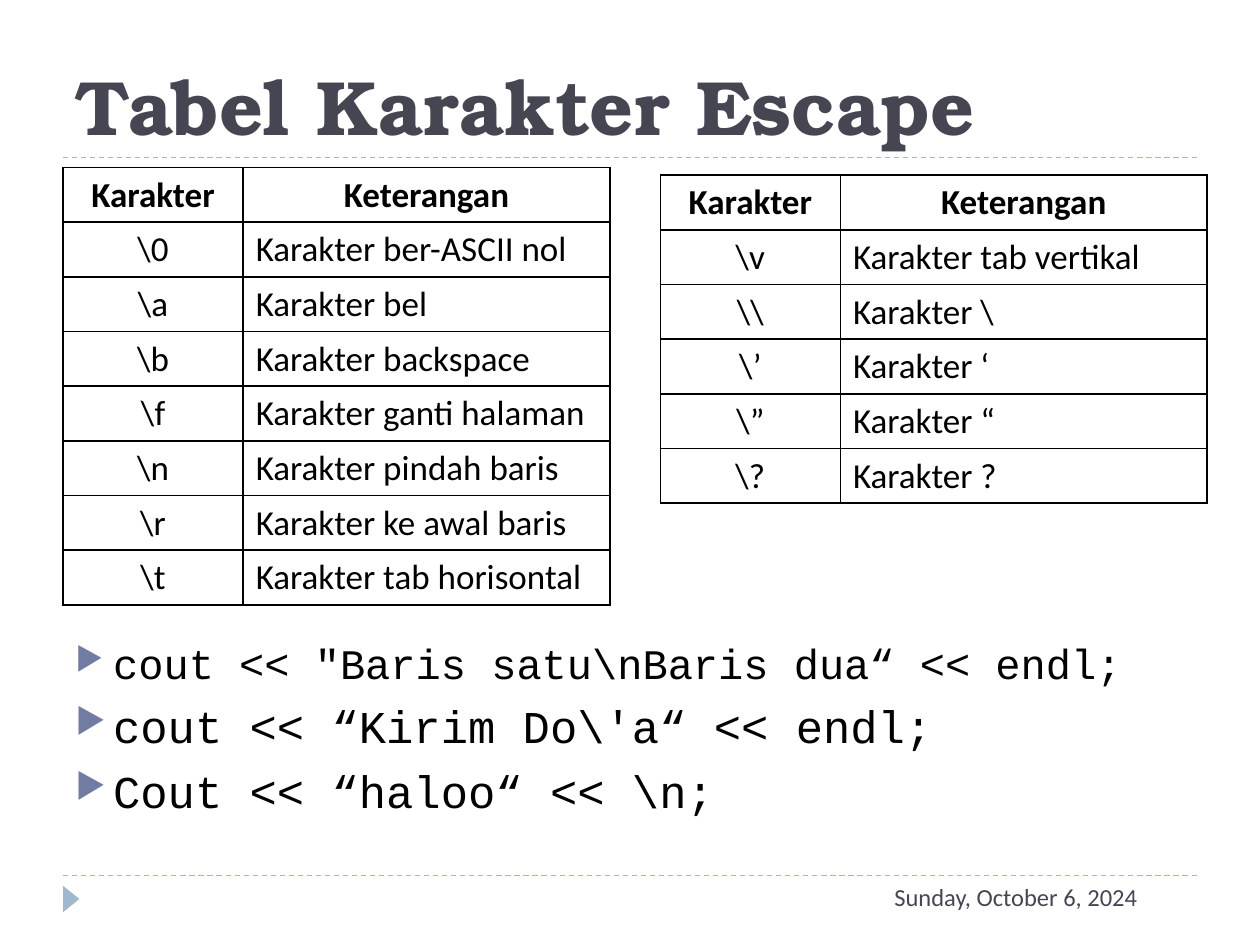
"""Build a slide with two tables of escape characters and code examples."""
from dataclasses import dataclass

from lxml.etree import SubElement
from pptx import Presentation
from pptx.dml.color import RGBColor
from pptx.enum.dml import MSO_LINE_DASH_STYLE as Dash
from pptx.enum.shapes import MSO_CONNECTOR as Connector, MSO_SHAPE as Shape
from pptx.enum.text import MSO_ANCHOR as Anchor, MSO_AUTO_SIZE as AutoSize, PP_ALIGN as Align
from pptx.oxml import parse_xml
from pptx.oxml.ns import nsdecls, qn
from pptx.util import Inches, Pt

BLACK = RGBColor(0x00, 0x00, 0x00)
SLATE = RGBColor(0x46, 0x46, 0x53)
PALE_BLUE = RGBColor(0x9F, 0xB8, 0xCD)
BULLET_BLUE = RGBColor(0x72, 0x7C, 0xA3)
COLUMN_WIDTHS = (1.43, 2.91)
ROW_HEIGHT = 0.43
HEADER = ("Karakter", "Keterangan")


@dataclass
class EscapeTable:
    left: float
    top: float
    rows: list[tuple[str, str]]


@dataclass
class CodeLine:
    text: str
    size: int


TABLES = [
    EscapeTable(0.5, 1.33, [
        (r"\0", "Karakter ber-ASCII nol"),
        (r"\a", "Karakter bel"),
        (r"\b", "Karakter backspace"),
        (r"\f", "Karakter ganti halaman"),
        (r"\n", "Karakter pindah baris"),
        (r"\r", "Karakter ke awal baris"),
        (r"\t", "Karakter tab horisontal"),
    ]),
    EscapeTable(5.24, 1.39, [
        (r"\v", "Karakter tab vertikal"),
        (r"\\", "Karakter \\"),
        (r"\’", "Karakter ‘"),
        (r"\”", "Karakter “"),
        (r"\?", "Karakter ?"),
    ]),
]
CODE_LINES = [
    CodeLine(r'cout << "Baris satu\nBaris dua“ << endl;', 24),
    CodeLine(r"cout << “Kirim Do\'a“ << endl;", 26),
    CodeLine(r"Cout << “haloo“ << \n;", 26),
]


def style_text(para, font_name: str, size: int, color: RGBColor, bold: bool = False) -> None:
    """Format every run of a paragraph."""
    for span in para.runs:
        span.font.name = font_name
        span.font.size = Pt(size)
        span.font.color.rgb = color
        span.font.bold = bold


def add_rule(page, top: float) -> None:
    """Draw a dashed rule across the page."""
    rule = page.shapes.add_connector(
        Connector.STRAIGHT, Inches(0.5), Inches(top), Inches(9.5), Inches(top))
    rule.line.color.rgb = PALE_BLUE
    rule.line.width = Pt(0.75)
    rule.line.dash_style = Dash.DASH
    SubElement(rule.line._get_or_add_ln().getparent(), qn("a:effectLst"))


def add_marker(page) -> None:
    """Draw the footer triangle pointing right."""
    marker = page.shapes.add_shape(
        Shape.ISOSCELES_TRIANGLE, Inches(0.46), Inches(7.07), Inches(0.21), Inches(0.13))
    marker.rotation = 90
    marker.shadow.inherit = False
    marker.fill.solid()
    marker.fill.fore_color.rgb = PALE_BLUE
    marker.line.fill.background()


def add_box(page, left: float, top: float, width: float, height: float):
    """Add a wrapping text box and return its text frame."""
    box = page.shapes.add_textbox(Inches(left), Inches(top), Inches(width), Inches(height))
    box.text_frame.word_wrap = True
    return box.text_frame


def set_borders(cell) -> None:
    """Give a cell thin black borders on all sides."""
    properties = cell._tc.get_or_add_tcPr()
    for index, side in enumerate(("lnL", "lnR", "lnT", "lnB")):
        properties.insert(index, parse_xml(
            f'<a:{side} {nsdecls("a")} w="{Pt(1)}"><a:solidFill>'
            f'<a:srgbClr val="{BLACK}"/></a:solidFill></a:{side}>'))


def add_escape_table(page, spec_table: EscapeTable) -> None:
    """Draw one table of escape characters."""
    rows = [HEADER, *spec_table.rows]
    table = page.shapes.add_table(
        len(rows), len(HEADER), Inches(spec_table.left), Inches(spec_table.top),
        Inches(sum(COLUMN_WIDTHS)), Inches(ROW_HEIGHT * len(rows))).table
    table.first_row = table.horz_banding = False
    for column, width in zip(table.columns, COLUMN_WIDTHS):
        column.width = Inches(width)
    for row_index, texts in enumerate(rows):
        table.rows[row_index].height = Inches(ROW_HEIGHT)
        for column_index, text in enumerate(texts):
            cell = table.cell(row_index, column_index)
            cell.fill.background()
            set_borders(cell)
            para = cell.text_frame.paragraphs[0]
            para.text = text
            is_header = row_index == 0
            para.alignment = Align.CENTER if is_header or column_index == 0 else Align.LEFT
            style_text(para, "Calibri", 20, BLACK, is_header)


def add_code_lines(page) -> None:
    """Write the bulleted code examples."""
    frame = add_box(page, 0.5, 5.01, 9, 1.57)
    for index, line in enumerate(CODE_LINES):
        para = frame.add_paragraph() if index else frame.paragraphs[0]
        para.text = line.text
        para.space_before = Pt(6)
        style_text(para, "Courier New", line.size, BLACK)
        properties = para._p.get_or_add_pPr()
        properties.set("marL", str(Inches(0.3)))
        properties.set("indent", str(Inches(-0.3)))
        color = SubElement(properties, qn("a:buClr"))
        SubElement(color, qn("a:srgbClr"), val=str(BULLET_BLUE))
        SubElement(properties, qn("a:buSzPct"), val="76000")
        SubElement(properties, qn("a:buChar"), char="▶")


def set_title(page) -> None:
    """Place and format the title."""
    title = page.shapes.title
    title.left, title.top = Inches(0.5), Inches(0.17)
    title.width, title.height = Inches(9), Inches(1.08)
    frame = title.text_frame
    frame.text = "Tabel Karakter Escape"
    frame.auto_size = AutoSize.NONE
    frame.vertical_anchor = Anchor.BOTTOM
    para = frame.paragraphs[0]
    para.alignment = Align.LEFT
    style_text(para, "TeX Gyre Bonum", 44, SLATE, True)


def main() -> None:
    """Assemble and save the deck."""
    deck = Presentation()
    deck.slide_width, deck.slide_height = Inches(10), Inches(7.5)
    page = deck.slides.add_slide(deck.slide_layouts[5])
    for top in (6.95, 1.25):
        add_rule(page, top)
    add_marker(page)
    set_title(page)
    date = add_box(page, 7, 6.95, 2.5, 0.4)
    date.text = "Sunday, October 6, 2024"
    style_text(date.paragraphs[0], "Calibri", 14, SLATE)
    for escape_table in TABLES:
        add_escape_table(page, escape_table)
    add_code_lines(page)
    deck.save("out.pptx")


if __name__ == "__main__":
    main()
